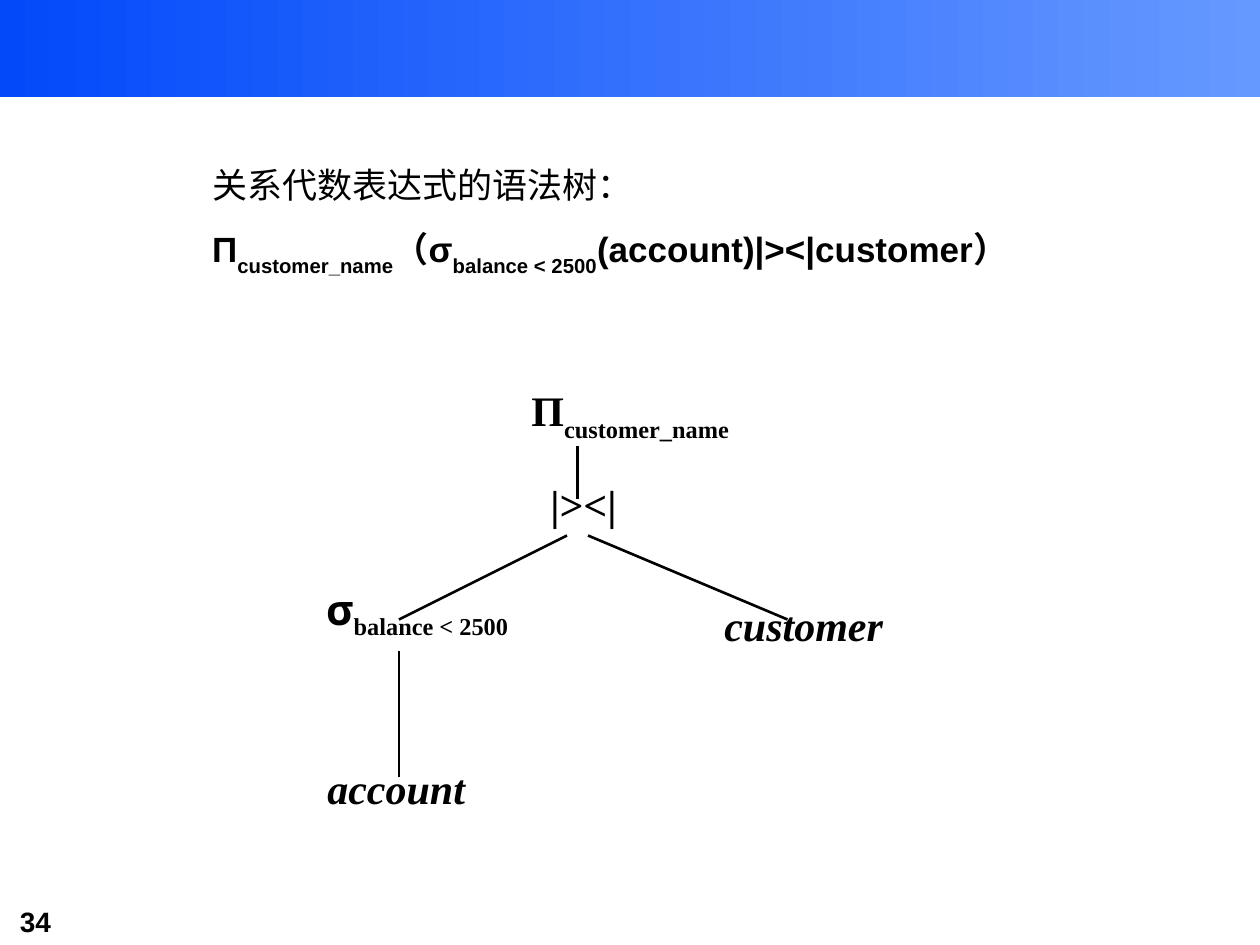
from dataclasses import dataclass

from lxml.etree import SubElement
from pptx import Presentation
from pptx.dml.color import RGBColor
from pptx.enum.shapes import MSO_CONNECTOR, MSO_SHAPE
from pptx.enum.text import MSO_ANCHOR, MSO_AUTO_SIZE, PP_ALIGN
from pptx.oxml.ns import qn
from pptx.slide import Slide
from pptx.text.text import TextFrame, _Paragraph
from pptx.util import Pt

BLACK = RGBColor(0x00, 0x00, 0x00)
LIGHT_BLUE = RGBColor(0x66, 0x99, 0xFF)
DEEP_BLUE = RGBColor(0x02, 0x49, 0xFA)
SANS = "Arial"
SERIF = "Times New Roman"
SIGMA_FONT = "Montserrat"


@dataclass
class TextRun:
    text: str
    font: str = SERIF
    size: float = 24
    bold: bool = True
    italic: bool = False
    baseline: int = 0  # percent of the text size


@dataclass
class Label:
    left: float
    top: float
    width: float
    height: float
    runs: list[TextRun]


@dataclass
class Branch:
    start: tuple[float, float]
    end: tuple[float, float]


# Each label is a little wider than its text, so it stays on one line
LABELS = [
    Label(296.6, 216, 134, 41,
          [TextRun("П"), TextRun("customer_name", baseline=-30)]),
    Label(179.3, 329.8, 126, 72.7,
          [TextRun("σ", SIGMA_FONT), TextRun("balance < 2500", baseline=-25)]),
    Label(406.8, 339.1, 112, 36, [TextRun("customer", italic=True)]),
    Label(180, 432, 100, 36, [TextRun("account", italic=True)]),
    Label(307.4, 270, 60, 36, [TextRun("|><|")]),
    # Page number
    Label(4.3, 513.4, 87.8, 26.6, [TextRun("34", SANS, 16)]),
]

BRANCHES = [
    Branch((330, 255), (330, 285)),
    Branch((228, 354), (324, 306)),
    Branch((336, 306), (450, 354)),
    Branch((228, 372), (228, 444)),
]

HEADING = [
    [TextRun("关系代数表达式的语法树：", SANS, 20, bold=False)],
    [
        TextRun("П", SANS, 20),
        TextRun("customer_name", SANS, 20, baseline=-30),
        TextRun("（σ", SANS, 20),
        TextRun("balance < 2500", SANS, 20, baseline=-30),
        TextRun("(account)|><|customer）", SANS, 20),
    ],
]


def add_runs(paragraph: _Paragraph, runs: list[TextRun]) -> None:
    paragraph.alignment = PP_ALIGN.LEFT
    for item in runs:
        run = paragraph.add_run()
        run.text = item.text
        run.font.name = item.font
        run.font.size = Pt(item.size)
        run.font.bold = item.bold
        run.font.italic = item.italic
        run.font.color.rgb = BLACK
        if item.baseline:
            run._r.get_or_add_rPr().set("baseline", str(item.baseline * 1000))


def format_frame(frame: TextFrame) -> None:
    frame.word_wrap = True
    frame.auto_size = MSO_AUTO_SIZE.NONE
    frame.vertical_anchor = MSO_ANCHOR.TOP


def add_band(slide: Slide) -> None:
    band = slide.shapes.add_shape(MSO_SHAPE.RECTANGLE, 0, 0, Pt(720), Pt(55.4))
    band.shadow.inherit = False
    band.line.fill.background()
    band.fill.gradient()
    band.fill.gradient_angle = 180
    for stop, color in zip(band.fill.gradient_stops, (LIGHT_BLUE, DEEP_BLUE)):
        stop.color.rgb = color


def add_heading(slide: Slide) -> None:
    title = slide.shapes.title
    title.left, title.top = Pt(114), Pt(90)
    title.width, title.height = Pt(558), Pt(72)
    frame = title.text_frame
    format_frame(frame)
    for index, runs in enumerate(HEADING):
        paragraph = frame.add_paragraph() if index else frame.paragraphs[0]
        if index:
            paragraph.space_before = Pt(12.5)
        add_runs(paragraph, runs)


def add_label(slide: Slide, label: Label) -> None:
    box = slide.shapes.add_textbox(
        Pt(label.left), Pt(label.top), Pt(label.width), Pt(label.height))
    format_frame(box.text_frame)
    add_runs(box.text_frame.paragraphs[0], label.runs)


def add_branch(slide: Slide, branch: Branch) -> None:
    connector = slide.shapes.add_connector(
        MSO_CONNECTOR.STRAIGHT, *map(Pt, branch.start + branch.end))
    connector.line.color.rgb = BLACK
    connector.line.width = Pt(1.5)
    SubElement(connector._element.spPr, qn("a:effectLst"))


def main() -> None:
    presentation = Presentation()
    presentation.slide_width, presentation.slide_height = Pt(720), Pt(540)
    slide = presentation.slides.add_slide(presentation.slide_layouts[5])

    # Header band and heading
    add_band(slide)
    add_heading(slide)

    # Syntax tree and page number
    for label in LABELS:
        add_label(slide, label)
    for branch in BRANCHES:
        add_branch(slide, branch)

    presentation.save("out.pptx")


if __name__ == "__main__":
    main()
